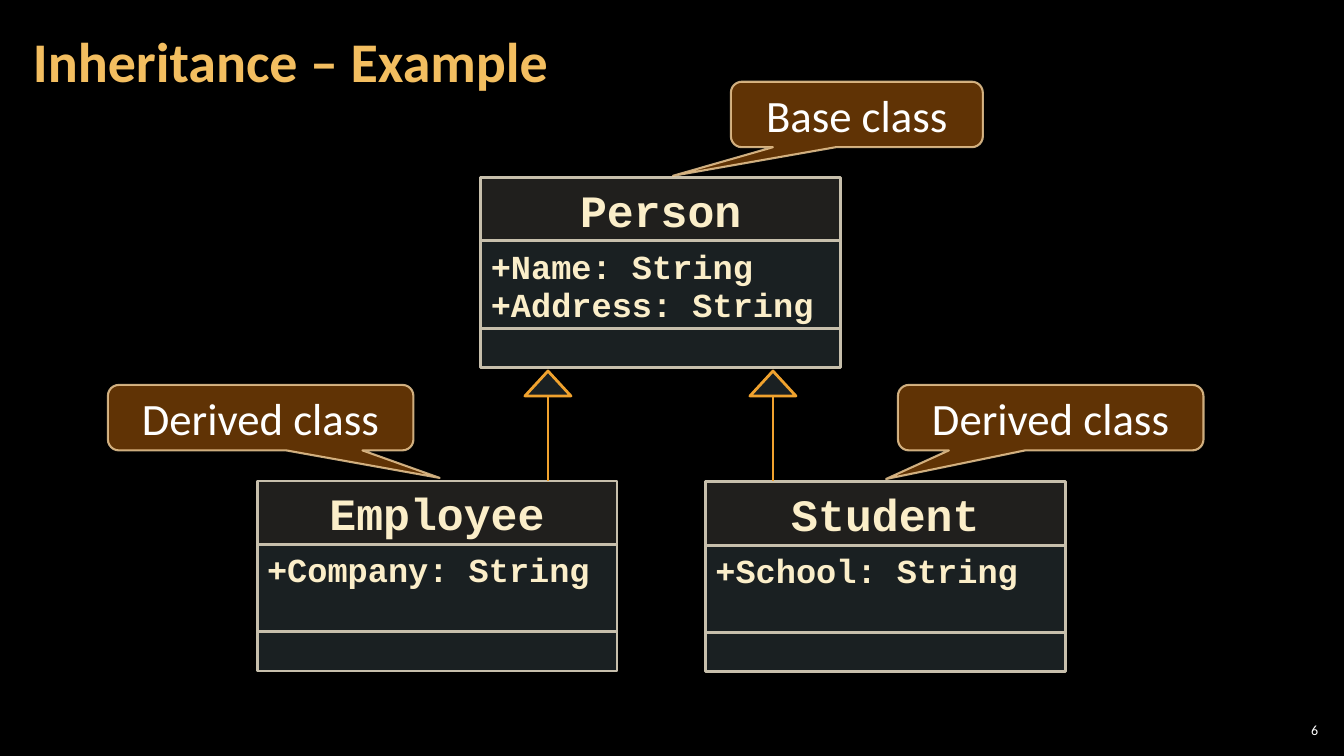
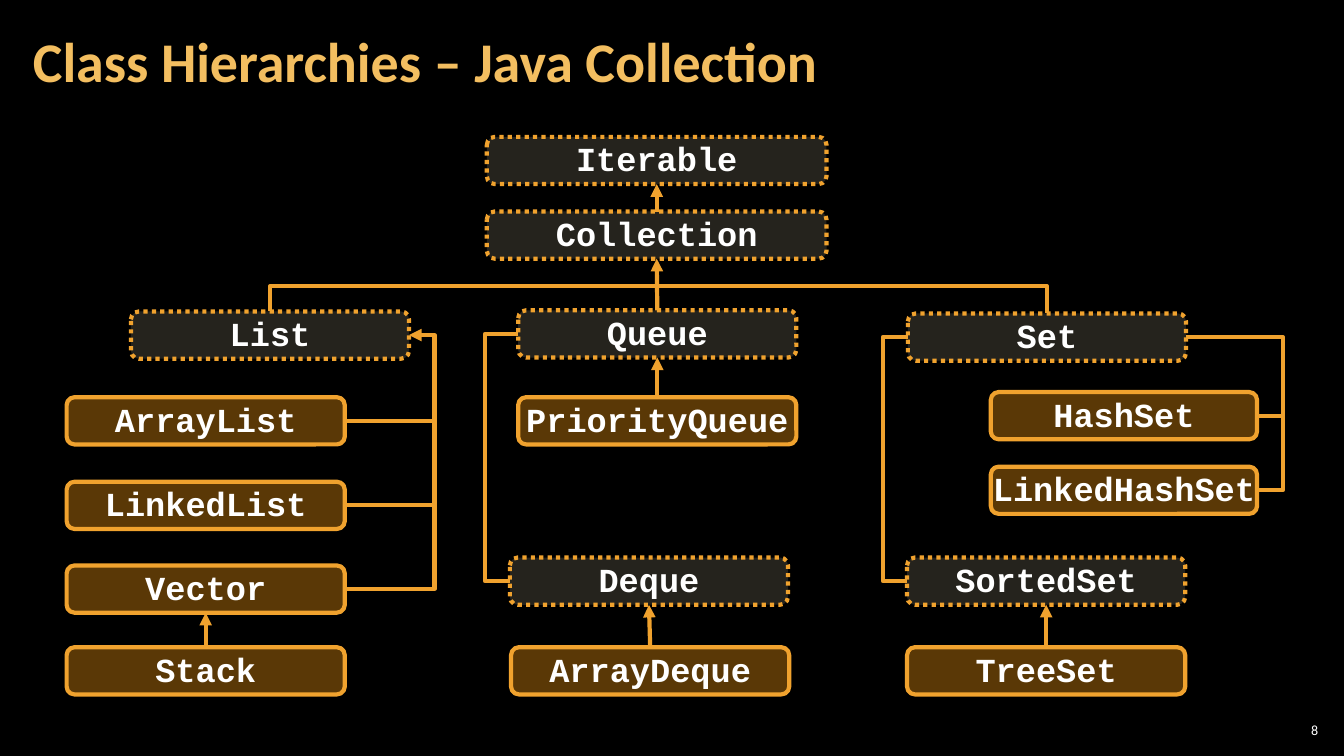
from lxml import etree
from pptx import Presentation
from pptx.dml.color import RGBColor
from pptx.enum.dml import MSO_LINE
from pptx.enum.shapes import MSO_CONNECTOR, MSO_SHAPE
from pptx.enum.text import MSO_ANCHOR, PP_ALIGN
from pptx.oxml.ns import qn
from pptx.util import Cm, Pt

RECT = MSO_SHAPE.RECTANGLE
ROUND = MSO_SHAPE.ROUNDED_RECTANGLE
CALL = MSO_SHAPE.ROUNDED_RECTANGULAR_CALLOUT
LINE, ELBOW = MSO_CONNECTOR.STRAIGHT, MSO_CONNECTOR.ELBOW
DOTS = MSO_LINE.ROUND_DOT
TOP, MID = MSO_ANCHOR.TOP, MSO_ANCHOR.MIDDLE
LEFT, MIDDLE, RIGHT = PP_ALIGN.LEFT, PP_ALIGN.CENTER, PP_ALIGN.RIGHT

HEX = {
    "back": "000000", "title": "F3BE60", "white": "FFFFFF", "cream": "FBEEC9",
    "head": "D9D5C7", "body": "B5DBE5", "edge": "C7BFAC", "gold": "F0A22E",
    "amber": "C87D0E", "brown": "663606", "rim": "F8D49E",
}
SANS, MONO = "Calibri", "Courier New"

# Class diagram: part heights and box width
HEAD, BODY, FOOT, WIDE = 1.6, 2.2, 0.99, 9.07

# Hierarchy: name -> left, top, width
HIGH = 1.19
FACES = {
    "Iterable": (12.27, 3.45, 8.56), "Collection": (12.27, 5.33, 8.56),
    "List": (3.3, 7.85, 7.01), "Queue": (13.06, 7.82, 7.01),
    "Set": (22.88, 7.9, 7.01), "Deque": (12.85, 14.05, 7.01),
    "SortedSet": (22.86, 14.05, 7.01),
}
KINDS = {
    "ArrayList": (1.68, 10.01, 7.01), "LinkedList": (1.68, 12.14, 7.01),
    "Vector": (1.68, 14.25, 7.01), "Stack": (1.68, 16.31, 7.01),
    "PriorityQueue": (13.06, 10.01, 7.01), "ArrayDeque": (12.88, 16.31, 7.01),
    "HashSet": (24.97, 9.88, 6.71), "LinkedHashSet": (24.97, 11.76, 6.71),
    "TreeSet": (22.86, 16.31, 7.01),
}
NODES = {**FACES, **KINDS}
UPS = [("Collection", "Iterable"), ("Queue", "Collection"),
       ("PriorityQueue", "Queue"), ("Stack", "Vector"),
       ("ArrayDeque", "Deque"), ("TreeSet", "SortedSet")]


def rgb(name):
    return RGBColor.from_string(HEX[name])


def fade(part, share):
    """Set the opacity, in percent, of a solid fill inside part."""
    color = part.find(qn("a:solidFill") + "/" + qn("a:srgbClr"))
    etree.SubElement(color, qn("a:alpha")).set("val", str(share * 1000))


def write(shape, lines, size, color, font=SANS, bold=False, align=MIDDLE,
          space=None, wrap=True, anchor=MID):
    frame = shape.text_frame
    frame.word_wrap = wrap
    frame.vertical_anchor = anchor
    for i, text in enumerate(lines):
        para = frame.add_paragraph() if i else frame.paragraphs[0]
        para.alignment = align
        if space:
            para.line_spacing = space
        run = para.add_run()
        run.text = text
        run.font.name = font
        run.font.size = Pt(size)
        run.font.bold = bold
        run.font.color.rgb = rgb(color)


def paint(shape, fill, share, edge, width):
    shape.shadow.inherit = False
    shape.fill.solid()
    shape.fill.fore_color.rgb = rgb(fill)
    fade(shape.element.spPr, share)
    shape.line.color.rgb = rgb(edge)
    shape.line.width = Pt(width)


def block(slide, kind, box, fill, share, edge, width):
    shape = slide.shapes.add_shape(kind, *map(Cm, box))
    paint(shape, fill, share, edge, width)
    return shape


def label(slide, box, pad, *args, **style):
    shape = slide.shapes.add_textbox(*map(Cm, box))
    frame = shape.text_frame
    frame.margin_left = frame.margin_right = Cm(pad)
    frame.margin_top = frame.margin_bottom = Cm(0.1)
    write(shape, *args, **style)


def base(deck, title, number):
    """Add a black slide with its title and page number."""
    slide = deck.slides.add_slide(deck.slide_layouts[6])
    slide.background.fill.solid()
    slide.background.fill.fore_color.rgb = rgb("back")
    label(slide, (0.53, 0.1, 26.59, 3.07), 0.3, [title], 40, "title",
          bold=True, align=LEFT, space=0.9)
    label(slide, (32.13, 18.14, 1.19, 0.53), 0.1, [number], 10, "white",
          align=RIGHT)
    return slide


def link(slide, start, end, width=3, arrow=False, kind=LINE):
    wire = slide.shapes.add_connector(kind, *map(Cm, start + end))
    wire.line.color.rgb = rgb("gold")
    wire.line.width = Pt(width)
    shape = wire.element.spPr
    if arrow:
        tip = etree.SubElement(shape.find(qn("a:ln")), qn("a:tailEnd"))
        tip.set("type", "triangle")
    etree.SubElement(shape, qn("a:effectLst"))
    return wire


def bend(wire, ratio):
    """Place the middle part of an elbow, as a share of its width."""
    guide = etree.SubElement(
        wire.element.spPr.find(qn("a:prstGeom")).find(qn("a:avLst")), qn("a:gd"))
    guide.set("name", "adj1")
    guide.set("fmla", f"val {round(ratio * 100000)}")


def side(slide, start, end, rail, arrow=False):
    """Elbow that runs along the upright line x = rail."""
    wire = link(slide, start, end, arrow=arrow, kind=ELBOW)
    bend(wire, (rail - start[0]) / (end[0] - start[0]))


def bridge(slide, start, end, bar):
    """Elbow that runs along the level line y = bar, as a turned one."""
    (x1, y1), (x2, y2) = start, end
    mx, my = (x1 + x2) / 2, (y1 + y2) / 2
    dx, dy = (x2 - x1) / 2, (y2 - y1) / 2
    wire = link(slide, (mx + dy, my - dx), (mx - dy, my + dx), kind=ELBOW)
    wire.element.spPr.find(qn("a:xfrm")).set("rot", str(270 * 60000))
    bend(wire, (bar - y1) / (y2 - y1))


def entity(slide, x, y, name, fields):
    """Class box with name, fields and an empty part for methods."""
    head = block(slide, RECT, (x, y, WIDE, HEAD), "head", 15, "edge", 2)
    write(head, [name], 32, "cream", MONO, True, wrap=False)
    body = block(slide, RECT, (x, y + HEAD, WIDE, BODY), "body", 15, "edge", 2)
    body.text_frame.margin_top = Cm(0.19)
    write(body, fields, 24, "cream", MONO, True, LEFT, 0.95, False, TOP)
    block(slide, RECT, (x, y + HEAD + BODY, WIDE, FOOT), "body", 15, "edge", 2)


def parent(slide, x, top, foot):
    """Inheritance arrow with a hollow head."""
    neck, half = top + 0.63, 0.58
    link(slide, (x, neck), (x, foot), 2)
    draw = slide.shapes.build_freeform(Cm(x - half), Cm(neck))
    draw.add_line_segments([(Cm(x + half), Cm(neck)), (Cm(x), Cm(top))])
    paint(draw.convert_to_shape(), "body", 15, "gold", 2)


def callout(slide, x, y, width, text, tip):
    shape = block(slide, CALL, (x, y, width, 1.65), "brown", 95, "rim", 1.5)
    fade(shape.element.spPr.find(qn("a:ln")), 80)
    for i, value in enumerate(tip):
        shape.adjustments[i] = value
    write(shape, [text], 32, "white")


def node(slide, name, fill, share, dots):
    x, y, width = NODES[name]
    shape = block(slide, ROUND, (x, y, width, HIGH), fill, share, "gold", 3)
    if dots:
        shape.line.dash_style = DOTS
    write(shape, [name], 24, "white", MONO, True, space=0.95, wrap=False)


def port(name, across, down):
    """Point on a node, given as shares of its width and height."""
    x, y, width = NODES[name]
    return x + across * width, y + down * HIGH


def example(deck):
    slide = base(deck, "Inheritance – Example", "6")
    entity(slide, 12.12, 4.47, "Person", ["+Name: String", "+Address: String"])
    entity(slide, 6.48, 12.12, "Employee", ["+Company: String"])
    entity(slide, 17.78, 12.14, "Student", ["+School: String"])
    for x in (13.81, 19.48):
        parent(slide, x, 9.35, 12.12)
    callout(slide, 2.72, 9.7, 7.7, "Derived class", (0.586, 0.921))
    callout(slide, 22.63, 9.7, 7.7, "Derived class", (-0.539, 0.937))
    callout(slide, 18.42, 2.06, 6.35, "Base class", (-0.73, 0.937))


def tree(deck):
    slide = base(deck, "Class Hierarchies – Java Collection", "8")
    # Interfaces are dotted, classes are solid
    for name in FACES:
        node(slide, name, "cream", 15, True)
    for name in KINDS:
        node(slide, name, "amber", 45, False)
    # Straight arrows to the parent above
    for child, above in UPS:
        link(slide, port(child, 0.5, 0), port(above, 0.5, 1), arrow=True)
    # Elbows around the branches
    bridge(slide, port("List", 0.5, 0), port("Set", 0.5, 0), 7.21)
    lane, rail = 10.95, 32.33
    side(slide, port("Vector", 1, 0.5), port("List", 1, 0.5), lane, True)
    side(slide, port("Queue", 0, 0.5), port("Deque", 0, 0.5), 12.22)
    side(slide, port("Set", 1, 0.5), port("LinkedHashSet", 1, 0.5), rail)
    side(slide, port("Set", 0, 0.5), port("SortedSet", 0, 0.5), 22.25)
    # Stubs that join an elbow
    for name, x in (("ArrayList", lane), ("LinkedList", lane), ("HashSet", rail)):
        start = port(name, 1, 0.5)
        link(slide, start, (x, start[1]))


def main():
    deck = Presentation()
    deck.slide_width, deck.slide_height = Cm(33.87), Cm(19.05)
    example(deck)
    tree(deck)
    deck.save("out.pptx")


main()
